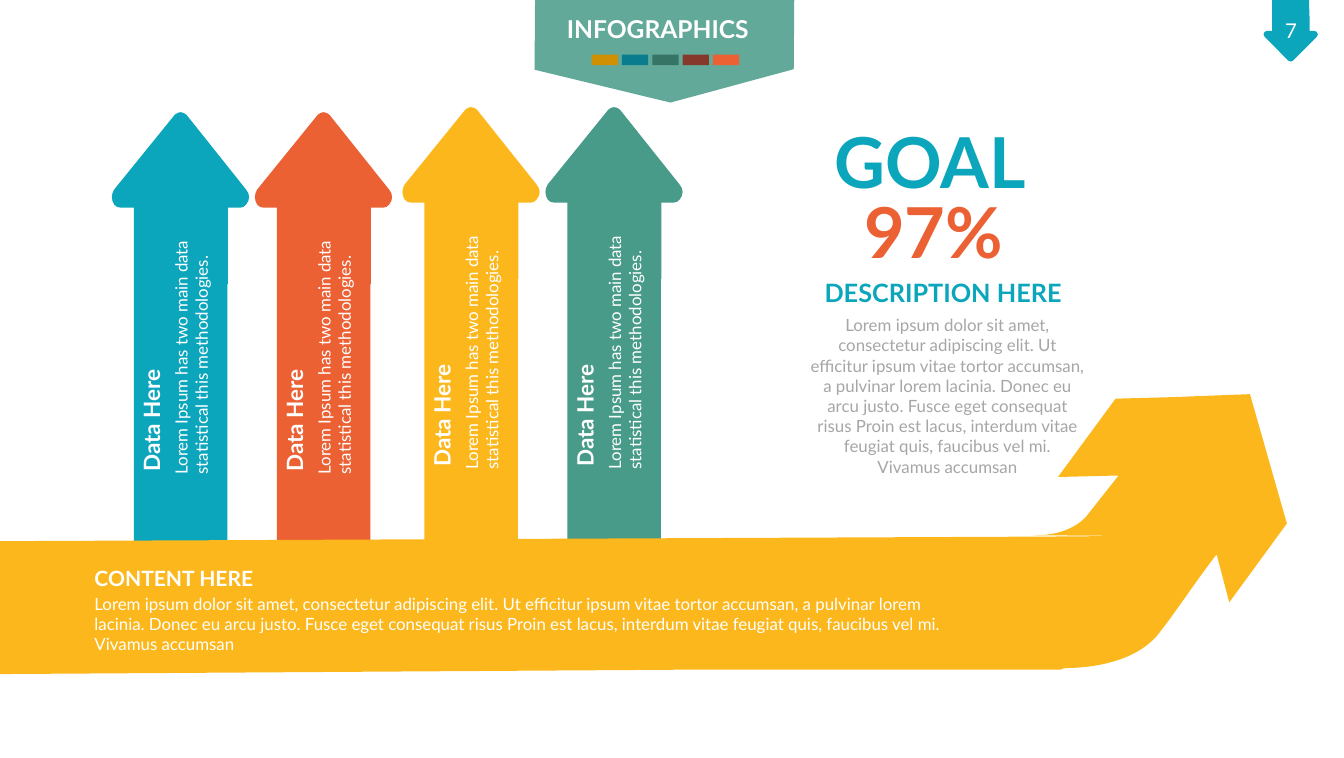
"""Build the arrow infographic slide with its goal panel and content ribbon."""
from lxml.etree import SubElement
from pptx import Presentation
from pptx.dml.color import RGBColor
from pptx.enum.shapes import MSO_SHAPE
from pptx.enum.text import MSO_ANCHOR, MSO_AUTO_SIZE, PP_ALIGN
from pptx.oxml.ns import qn
from pptx.util import Inches, Pt

HUES = {
    "teal": "0CA6BC", "coral": "EB6133", "gold": "FCB71C", "green": "489B88",
    "ochre": "CF9003", "blue": "097C8D", "pine": "367466", "rust": "86382B",
    "grey": "A6A6A6", "white": "FFFFFF",
}
LOREM = (
    "Lorem ipsum dolor sit amet, consectetur adipiscing elit. Ut efficitur ipsum "
    "vitae tortor accumsan, a pulvinar lorem lacinia. Donec eu arcu justo. Fusce "
    "eget consequat risus Proin est lacus, interdum vitae feugiat quis, faucibus "
    "vel mi.\vVivamus accumsan"
)
NOTE = "Lorem Ipsum has two main data statistical this methodologies."
BADGE = [
    (25.18, 0), (25.91, 0), (25.91, 0.13), (25.92, 0.29, 25.92, 0.45, 25.92, 0.61),
    (26.01, 0.61), (26.03, 0.61, 26.05, 0.62, 26.06, 0.63),
    (26.09, 0.66, 26.09, 0.7, 26.06, 0.73), (25.59, 1.2),
    (25.58, 1.21, 25.56, 1.22, 25.55, 1.22), (25.53, 1.22, 25.52, 1.21, 25.5, 1.2),
    (25.03, 0.73), (25, 0.7, 25, 0.66, 25.03, 0.63),
    (25.04, 0.62, 25.06, 0.61, 25.08, 0.61), (25.18, 0.61),
]
BANNER = [(10.59, 0), (15.72, 0), (15.71, 1.37), (13.27, 2.03), (10.58, 1.38)]
ARROW = [
    (1.35, 0), (1.32, 0, 1.27, 0.02, 1.24, 0.05), (0.04, 1.53),
    (-0.02, 1.62, -0.02, 1.74, 0.04, 1.83), (0.07, 1.87, 0.12, 1.89, 0.17, 1.89),
    (0.43, 1.89), (0.43, 9.35), (2.28, 9.35), (2.28, 3.4), (2.29, 3.4),
    (2.29, 1.89), (2.53, 1.89), (2.58, 1.89, 2.62, 1.87, 2.65, 1.83),
    (2.73, 1.74, 2.73, 1.62, 2.65, 1.53), (1.47, 0.05),
    (1.44, 0.02, 1.39, 0, 1.35, 0),
]
RIBBON = [
    (24.74, 7.8), (25.47, 10.36), (24.33, 11.92), (24.08, 10.97),
    (23.66, 11.51, 23.25, 12.14, 22.97, 12.49),
    (22.49, 13.16, 21.44, 13.22, 21.09, 13.22),
    (21.03, 13.22, 21, 13.25, 21, 13.25), (13.95, 13.25), (-0.08, 13.34),
    (-0.09, 10.71), (20.43, 10.62), (23.85, 10.6, 20.43, 10.6, 20.43, 10.59),
    (21.25, 10.62, 21.54, 10.17, 21.54, 10.17), (22.14, 9.41), (20.94, 9.44),
    (22.08, 7.89), (23.19, 7.86),
]

deck = Presentation()
deck.slide_width, deck.slide_height = Inches(26.6), Inches(15)
slide = deck.slides.add_slide(deck.slide_layouts[5])
shapes = slide.shapes


def draw(steps, hue, left=0, top=0):
    spots = [(Inches(left + s[-2]), Inches(top + s[-1])) for s in steps]
    pen = shapes.build_freeform(*spots[0])
    pen.add_line_segments(spots[1:], close=True)
    form = pen.convert_to_shape()
    lines = list(form.element.iter(qn("a:lnTo")))
    for step, line in zip(steps[1:], lines):
        if len(step) == 6:
            line.tag = qn("a:cubicBezTo")
            line.remove(line[0])
            for x, y in zip(step[::2], step[1::2]):
                SubElement(line, qn("a:pt"), x=str(Inches(left + x) - form.left),
                           y=str(Inches(top + y) - form.top))
    form.shadow.inherit = False
    form.fill.solid()
    form.fill.fore_color.rgb = RGBColor.from_string(HUES[hue])
    form.line.fill.background()
    return form


def write(text, area, size, hue, bold=False, align=PP_ALIGN.LEFT, pad=(0.2, 0.1),
          turn=0, wrap=True, box=None):
    box = box or shapes.add_textbox(0, 0, 0, 0)
    for key, val in zip(("left", "top", "width", "height"), area):
        setattr(box, key, Inches(val))
    box.rotation = turn
    frame = box.text_frame
    frame.text = text
    look = {
        "word_wrap": wrap, "auto_size": MSO_AUTO_SIZE.NONE,
        "vertical_anchor": MSO_ANCHOR.TOP,
        "margin_left": Inches(pad[0]), "margin_right": Inches(pad[0]),
        "margin_top": Inches(pad[1]), "margin_bottom": Inches(pad[1]),
    }
    for key, val in look.items():
        setattr(frame, key, val)
    para = frame.paragraphs[0]
    para.alignment = align
    for run in para.runs:
        for key, val in {"name": "Lato", "size": Pt(size), "bold": bold}.items():
            setattr(run.font, key, val)
        run.font.color.rgb = RGBColor.from_string(HUES[hue])


mid = PP_ALIGN.CENTER
wide = (0.24, 0.12)

draw(BADGE, "teal")
write("7", (25.19, 0.26, 0.72, 0.69), 29, "white", align=mid, wrap=False)

banner = draw(BANNER, "green")
fill = banner.element.spPr.find(qn("a:solidFill"))
SubElement(fill[0], qn("a:alpha"), val="85000")
title = shapes.title
shapes.element.append(title.element)
write("INFOGRAPHICS", (10.22, 0.28, 5.6, 0.59), 35, "white", True, mid, (0, 0), box=title)

for i, hue in enumerate(("ochre", "blue", "pine", "rust", "coral")):
    chip = shapes.add_shape(MSO_SHAPE.RECTANGLE, Inches(11.71 + 0.6 * i), Inches(1.08),
                            Inches(0.52), Inches(0.21))
    chip.shadow.inherit = False
    chip.fill.solid()
    chip.fill.fore_color.rgb = RGBColor.from_string(HUES[hue])
    chip.line.fill.background()

for hue, x, y in (("green", 10.8, 2.12), ("gold", 7.97, 2.12),
                  ("coral", 5.05, 2.22), ("teal", 2.22, 2.22)):
    draw(ARROW, hue, x, y)
    write(NOTE, (x - 1.53, y + 3.79, 6.19, 1.05), 24, "white", pad=wide, turn=270)
    write("Data Here", (x - 1.52, y + 4.65, 4.59, 0.74), 32, "white", True, turn=270)

draw(RIBBON, "gold")
write(LOREM, (15.77, 6.11, 5.96, 3.47), 24, "grey", align=mid, pad=wide)
write("DESCRIPTION HERE", (14.44, 5.39, 8.45, 0.81), 36, "teal", True, mid)
write("97%", (15.9, 3.67, 5.15, 1.78), 100, "coral", True, mid, (0.1, 0.05))
write(LOREM, (1.63, 11.62, 17.5, 1.45), 24, "white", pad=wide)
write("CONTENT HERE", (1.67, 11.08, 4.74, 0.55), 30, "white", True)
write("GOAL", (15.84, 2.29, 5.15, 1.78), 100, "teal", True, mid, (0.1, 0.05))

deck.save("out.pptx")
